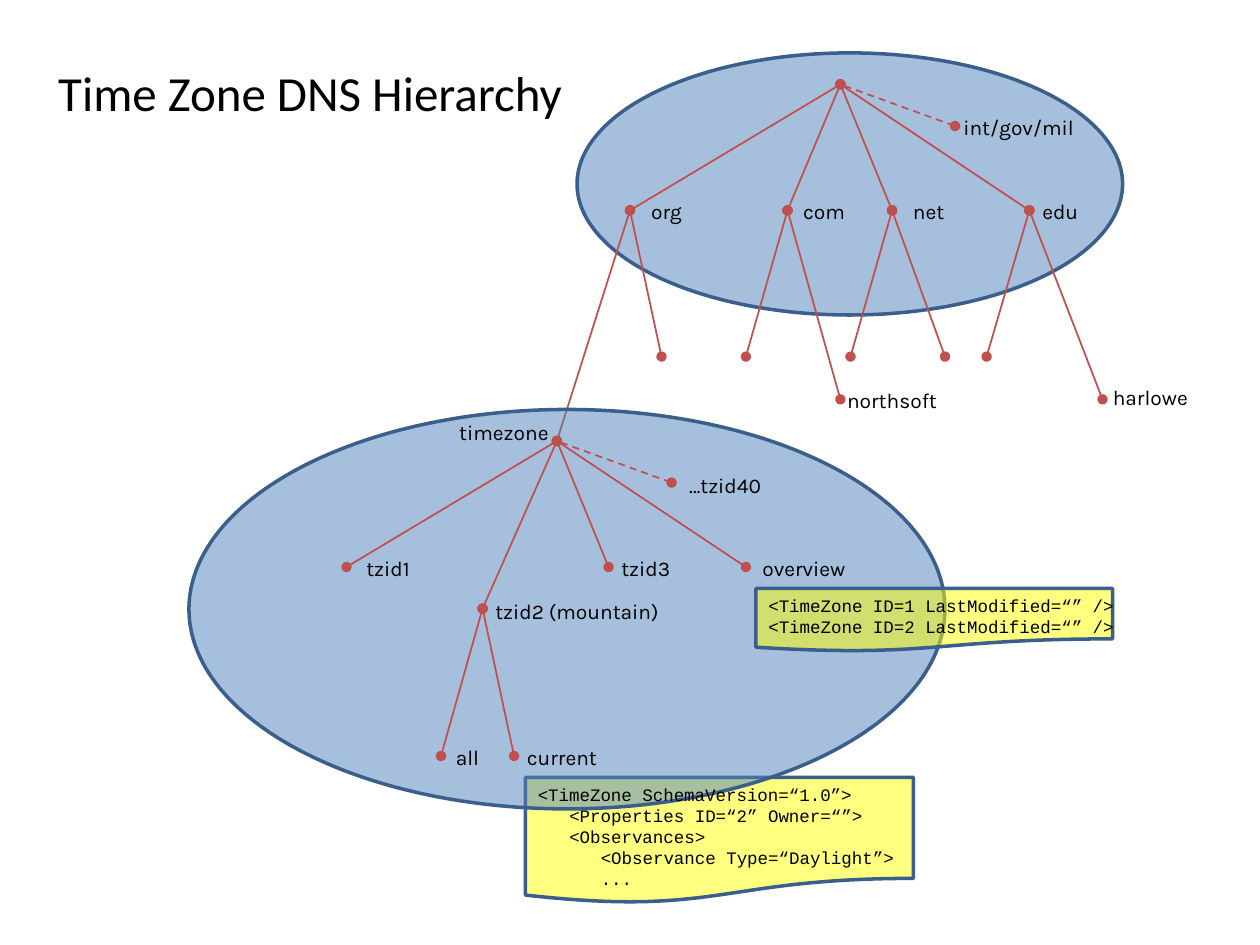
"""Build the Time Zone DNS Hierarchy slide."""
from lxml import etree
from pptx import Presentation
from pptx.dml.color import RGBColor
from pptx.enum.dml import MSO_LINE
from pptx.enum.shapes import MSO_CONNECTOR, MSO_SHAPE
from pptx.enum.text import MSO_ANCHOR, MSO_AUTO_SIZE, PP_ALIGN
from pptx.oxml.ns import qn
from pptx.util import Inches, Pt

ELLIPSE, DOCUMENT = MSO_SHAPE.OVAL, MSO_SHAPE.FLOWCHART_DOCUMENT
STRAIGHT, DASH = MSO_CONNECTOR.STRAIGHT, MSO_LINE.DASH
CENTER, LEFT = PP_ALIGN.CENTER, PP_ALIGN.LEFT
MIDDLE, TOP = MSO_ANCHOR.MIDDLE, MSO_ANCHOR.TOP
GROW, FIXED = MSO_AUTO_SIZE.SHAPE_TO_FIT_TEXT, MSO_AUTO_SIZE.NONE
BLUE, YELLOW, OUTLINE, RED, BLACK = "4F81BD", "FFFF00", "3A5F8C", "C0504D", "000000"
CODE_INDENT = Inches(0.25)

prs = Presentation()
prs.slide_width, prs.slide_height = Inches(10), Inches(7.5)
slide = prs.slides.add_slide(prs.slide_layouts[6])
color = RGBColor.from_string


def add_area(preset, fill, box):
    area = slide.shapes.add_shape(preset, *map(Inches, box))
    area.shadow.inherit = False
    area.fill.solid()
    area.fill.fore_color.rgb = color(fill)
    tint = area.fill._xPr.find(".//" + qn("a:srgbClr"))
    etree.SubElement(tint, qn("a:alpha"), val="50000")
    area.line.color.rgb = color(OUTLINE)
    area.line.width = Pt(2)


def add_text(lines, box, font, size, align=CENTER, anchor=TOP, fit=GROW):
    frame = slide.shapes.add_textbox(*map(Inches, box)).text_frame
    frame.word_wrap = True
    frame.auto_size = fit
    frame.vertical_anchor = anchor
    for index, (text, level) in enumerate(lines):
        paragraph = frame.add_paragraph() if index else frame.paragraphs[0]
        paragraph.alignment = align
        if level:
            paragraph._p.get_or_add_pPr().set("marL", str(level * CODE_INDENT))
        run = paragraph.add_run()
        run.text = text
        run.font.name, run.font.size = font, Pt(size)
        run.font.color.rgb = color(BLACK)


root, org, com, net, edu = (6.67, 0.67), (5, 1.67), (6.25, 1.67), (7.08, 1.67), (8.17, 1.67)
timezone, mountain = (4.42, 3.5), (3.83, 4.83)

top_level = [
    (root, [com, net, org, edu], False),
    (org, [timezone, (5.25, 2.83)], False),
    (com, [(5.92, 2.83), (6.67, 3.17)], False),
    (net, [(6.75, 2.83), (7.5, 2.83)], False),
    (edu, [(7.83, 2.83), (8.75, 3.17)], False),
    (root, [(7.58, 1)], True),
]
zone_level = [
    (timezone, [mountain, (4.83, 4.5), (2.75, 4.5), (5.92, 4.5)], False),
    (mountain, [(3.5, 6), (4.08, 6)], False),
    (timezone, [(5.33, 3.83)], True),
]

add_area(DOCUMENT, YELLOW, (4.17, 6.17, 3.08, 1))
for domain, branches in (
    ((4.58, 0.42, 4.33, 2.08), top_level),
    ((1.5, 3.25, 6, 3.17), zone_level),
):
    add_area(ELLIPSE, BLUE, domain)
    for parent, children, dashed in branches:
        for child in children:
            branch = slide.shapes.add_connector(STRAIGHT, *map(Inches, parent + child))
            branch.line.color.rgb = color(RED)
            branch.line.width = Pt(1)
            if dashed:
                branch.line.dash_style = DASH
            stroke = branch.line._get_or_add_ln()
            for end in ("a:headEnd", "a:tailEnd"):
                etree.SubElement(stroke, qn(end), type="oval")
            etree.SubElement(branch._element.spPr, qn("a:effectLst"))
add_area(DOCUMENT, YELLOW, (6, 4.67, 2.83, 0.5))

for label, left, top, width in (
    ("org", 5, 1.53, 0.58),
    ("com", 6.25, 1.53, 0.58),
    ("net", 7.08, 1.53, 0.58),
    ("edu", 8.08, 1.53, 0.67),
    ("northsoft", 6.58, 3.03, 1),
    ("harlowe", 8.67, 3, 0.92),
    ("int/gov/mil", 7.5, 0.86, 1.17),
    ("timezone", 3.5, 3.28, 1),
    ("tzid1", 2.58, 4.36, 1),
    ("tzid2 (mountain)", 3.83, 4.7, 1.5),
    ("tzid3", 4.75, 4.36, 0.75),
    ("overview", 5.92, 4.36, 0.92),
    ("all", 3.42, 5.86, 0.58),
    ("current", 4, 5.86, 0.92),
    ("…tzid40", 5.17, 3.7, 1.17),
):
    add_text([(label, 0)], (left, top, width, 0.3), "Karla", 12)

overview_code = [(f"<TimeZone ID={zone} LastModified=“” />", 0) for zone in (1, 2)]
current_code = [
    ("<TimeZone SchemaVersion=“1.0”>", 0),
    ("<Properties ID=“2” Owner=“”>", 1),
    ("<Observances>", 1),
    ("<Observance Type=“Daylight”>", 2),
    ("...", 2),
]
add_text(overview_code, (6, 4.67, 3, 0.44), "Courier New", 10, LEFT)
add_text(current_code, (4.17, 6.17, 3.17, 0.94), "Courier New", 10, LEFT)
add_text([("Time Zone DNS Hierarchy", 0)], (0.25, 0.38, 4.42, 0.7), "Calibri", 28,
         anchor=MIDDLE, fit=FIXED)

prs.save("out.pptx")
